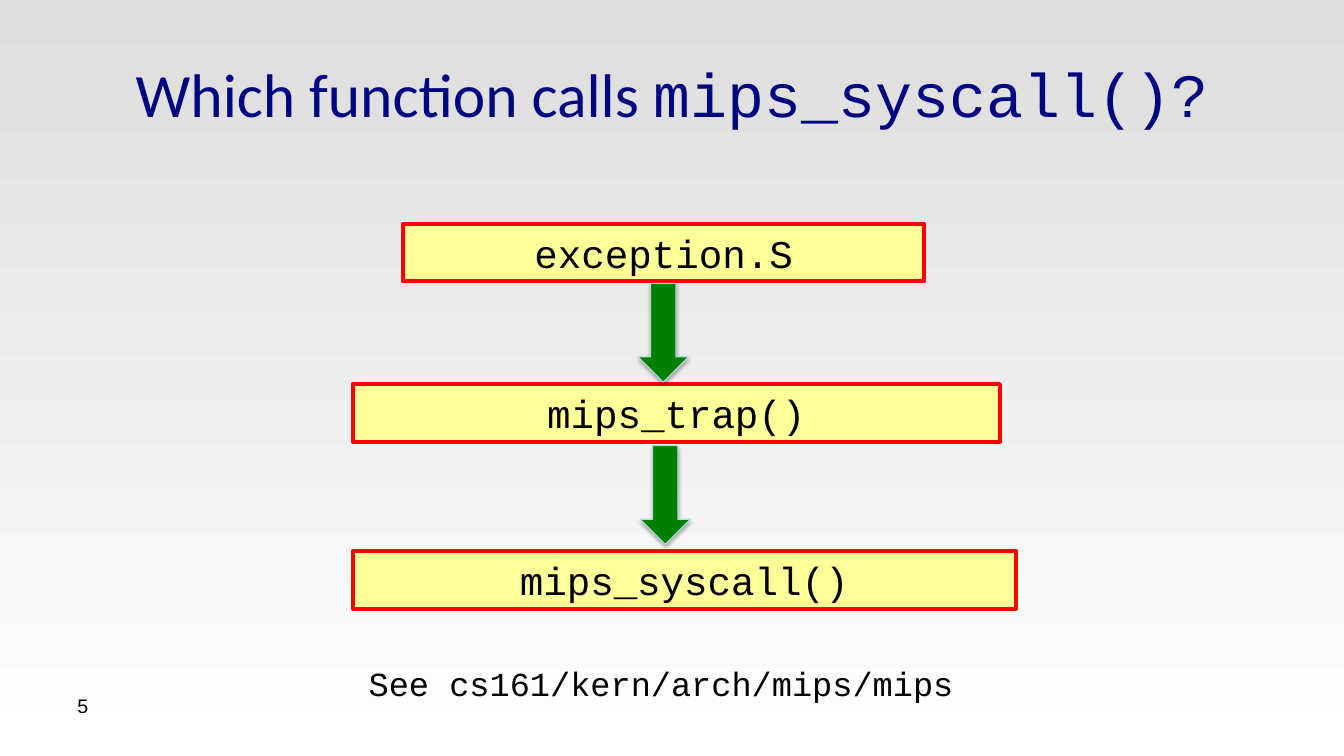
from lxml import etree
from pptx import Presentation
from pptx.dml.color import RGBColor
from pptx.enum.shapes import MSO_SHAPE
from pptx.enum.text import MSO_ANCHOR, MSO_AUTO_SIZE, PP_ALIGN
from pptx.oxml.ns import qn
from pptx.util import Cm, Pt

RECT, DOWN = MSO_SHAPE.RECTANGLE, MSO_SHAPE.DOWN_ARROW
MIDDLE, TOP = MSO_ANCHOR.MIDDLE, MSO_ANCHOR.TOP
CENTER, LEFT = PP_ALIGN.CENTER, PP_ALIGN.LEFT
GROW, FIXED = MSO_AUTO_SIZE.SHAPE_TO_FIT_TEXT, MSO_AUTO_SIZE.NONE

COLORS = {
    "sky": "DDDDDD", "base": "FFFFFF", "title": "000681", "text": "000000",
    "box": "FFFF99", "edge": "FF0000", "arrow": "008000", "rim": "B6DCDF",
}
SANS, CODE, PLAIN = "Calibri", "Courier New", "Arial"


def rgb(name):
    return RGBColor.from_string(COLORS[name])


class Deck:
    """Holds the slide and draws each kind of element; lengths are in cm."""

    def __init__(self):
        self.prs = Presentation()
        self.prs.slide_width, self.prs.slide_height = Cm(33.87), Cm(19.05)
        self.slide = self.prs.slides.add_slide(self.prs.slide_layouts[5])

    def backdrop(self, *names):
        fill = self.slide.background.fill
        fill.gradient()
        fill.gradient_angle = 270
        for stop, name in zip(fill.gradient_stops, names):
            stop.color.rgb = rgb(name)

    def set_text(self, shape, runs, size, color="text", align=LEFT,
                 anchor=TOP, fit=FIXED):
        """Fill a shape with one paragraph of (text, font) runs."""
        frame = shape.text_frame
        form = {"word_wrap": True, "auto_size": fit, "vertical_anchor": anchor}
        for key, value in form.items():
            setattr(frame, key, value)
        para = frame.paragraphs[0]
        para.alignment = align
        for text, face in runs:
            run = para.add_run()
            run.text = text
            for key, value in {"name": face, "size": Pt(size)}.items():
                setattr(run.font, key, value)
            run.font.color.rgb = rgb(color)

    def title(self, place, runs):
        shape = self.slide.shapes.title
        for key, value in zip(("left", "top", "width", "height"), place):
            setattr(shape, key, Cm(value))
        self.set_text(shape, runs, 44, "title", CENTER, MIDDLE)

    def label(self, place, text, face, size, fit=FIXED):
        shape = self.slide.shapes.add_textbox(*map(Cm, place))
        self.set_text(shape, [(text, face)], size, fit=fit)

    def solid(self, kind, place, fill, line, width):
        shape = self.slide.shapes.add_shape(kind, *map(Cm, place))
        shape.shadow.inherit = False
        shape.fill.solid()
        shape.fill.fore_color.rgb = rgb(fill)
        shape.line.color.rgb = rgb(line)
        shape.line.width = Pt(width)
        return shape

    def box(self, left, top, width, text):
        shape = self.solid(RECT, (left, top, width, 1.45), "box", "edge", 3)
        self.set_text(shape, [(text, CODE)], 28, "text", CENTER, MIDDLE, GROW)

    def arrow(self, left, top):
        shape = self.solid(DOWN, (left, top, 1.27, 2.49), "arrow", "rim", 0.75)
        effects = shape.element.spPr.find(qn("a:effectLst"))
        shade = etree.SubElement(
            effects, qn("a:outerShdw"), blurRad="40000", dist="23000",
            dir="5400000", rotWithShape="0")
        tint = etree.SubElement(shade, qn("a:srgbClr"), val=COLORS["text"])
        etree.SubElement(tint, qn("a:alpha"), val="35000")


def main():
    deck = Deck()
    deck.backdrop("sky", "base")
    deck.title((1.7, 0.76, 30.48, 3.18),
               [("Which function calls ", SANS), ("mips_syscall()?", CODE)])
    deck.label((1.7, 17.35, 7.9, 1.32), "5", PLAIN, 14)
    deck.box(8.89, 13.89, 16.71, "mips_syscall()")
    deck.arrow(16.13, 11.23)
    deck.box(8.89, 9.68, 16.31, "mips_trap()")
    deck.box(10.16, 5.64, 13.13, "exception.S")
    deck.arrow(16.08, 7.14)
    deck.label((9.04, 16.59, 15.44, 2.31), "See cs161/kern/arch/mips/mips",
               CODE, 24, GROW)
    deck.prs.save("out.pptx")


if __name__ == "__main__":
    main()
